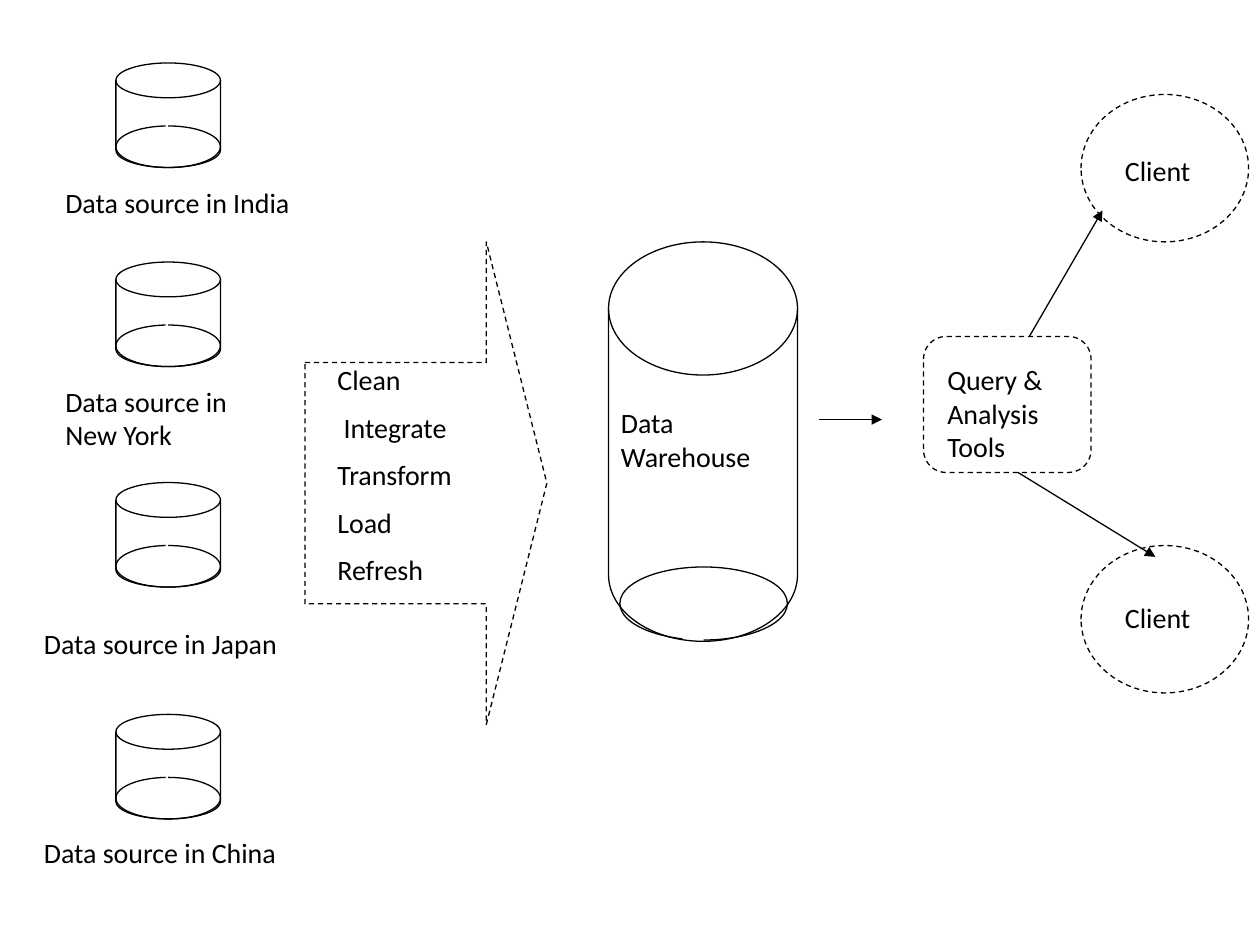
from typing import NamedTuple

from lxml import etree
from pptx import Presentation
from pptx.dml.color import RGBColor
from pptx.enum.dml import MSO_LINE
from pptx.enum.shapes import MSO_CONNECTOR, MSO_SHAPE
from pptx.enum.text import MSO_AUTO_SIZE
from pptx.oxml.ns import qn
from pptx.util import Inches, Pt

BLACK = RGBColor(0x00, 0x00, 0x00)
DASH = MSO_LINE.DASH
DISK = MSO_SHAPE.FLOWCHART_MAGNETIC_DISK
OVAL = MSO_SHAPE.OVAL
ARC = MSO_SHAPE.ARC
RIGHT_ARROW = MSO_SHAPE.RIGHT_ARROW
ROUNDED = MSO_SHAPE.ROUNDED_RECTANGLE
STRAIGHT = MSO_CONNECTOR.STRAIGHT
AUTO_FIT = MSO_AUTO_SIZE.SHAPE_TO_FIT_TEXT

FONT = "Calibri"
FONT_SIZE = Pt(16)
LINE_WIDTH = Pt(0.75)
ARC_UNITS_PER_DEGREE = 0.6


class Box(NamedTuple):
    left: float
    top: float
    width: float
    height: float


class Label(NamedTuple):
    text: str
    box: Box


class Arrow(NamedTuple):
    x1: float
    y1: float
    x2: float
    y2: float


SOURCE_DISK_TOPS = (0.5, 2.08, 3.83, 5.67)
CLIENT_TOPS = (0.75, 4.33)
LABELS = (
    Label("Data source in India", Box(0.42, 1.42, 2.08, 0.37)),
    Label("Data source in New York", Box(0.42, 3, 1.67, 0.64)),
    Label("Data source in Japan", Box(0.25, 4.92, 2.08, 0.37)),
    Label("Data source in China", Box(0.25, 6.58, 2.08, 0.37)),
    Label("Clean\n Integrate\nTransform\nLoad\nRefresh", Box(2.58, 2.83, 1.17, 1.97)),
    Label("Data Warehouse", Box(4.83, 3.17, 1.25, 0.64)),
    Label("Query & Analysis Tools", Box(7.42, 2.83, 1, 0.9)),
    Label("Client", Box(8.83, 1.17, 0.75, 0.37)),
    Label("Client", Box(8.83, 4.72, 0.75, 0.37)),
)
ARROWS = (
    Arrow(6.5, 3.33, 7, 3.33),
    Arrow(8.08, 3.75, 9.17, 4.42),
    Arrow(8.17, 2.67, 8.75, 1.67),
)


def add_outline(s, kind: MSO_SHAPE, box: Box, dash=None, adjustments=()) -> None:
    """Add an unfilled preset shape with a thin black line."""
    sp = s.shapes.add_shape(kind, *map(Inches, box))
    sp.shadow.inherit = False
    sp.fill.background()
    sp.line.color.rgb = BLACK
    sp.line.width = LINE_WIDTH
    if dash is not None:
        sp.line.dash_style = dash
    for i, value in enumerate(adjustments):
        sp.adjustments[i] = value


def add_base(s, box: Box, start: float, end: float) -> None:
    """Add the nearly closed ellipse at the foot of a disk; angles in degrees."""
    angles = (start * ARC_UNITS_PER_DEGREE, end * ARC_UNITS_PER_DEGREE)
    add_outline(s, ARC, box, adjustments=angles)


def add_label(s, label: Label) -> None:
    tf = s.shapes.add_textbox(*map(Inches, label.box)).text_frame
    tf.word_wrap = True
    tf.auto_size = AUTO_FIT
    tf.text = label.text
    for i, p in enumerate(tf.paragraphs):
        if i:
            p.space_before = Pt(8)
        for r in p.runs:
            r.font.name = FONT
            r.font.size = FONT_SIZE
            r.font.color.rgb = BLACK


def add_arrow(s, arrow: Arrow) -> None:
    cxn = s.shapes.add_connector(STRAIGHT, *map(Inches, arrow))
    cxn.line.color.rgb = BLACK
    cxn.line.width = LINE_WIDTH
    etree.SubElement(cxn.line._get_or_add_ln(), qn("a:tailEnd"), type="triangle")
    etree.SubElement(cxn._element.spPr, qn("a:effectLst"))


def main() -> None:
    prs = Presentation()
    prs.slide_width, prs.slide_height = Inches(10), Inches(7.5)
    s = prs.slides.add_slide(prs.slide_layouts[6])

    for top in SOURCE_DISK_TOPS:
        add_outline(s, DISK, Box(0.92, top, 0.83, 0.83))
        add_base(s, Box(0.92, top + 0.5, 0.83, 0.33), 270, 263)

    add_outline(s, RIGHT_ARROW, Box(2.42, 1.92, 1.92, 3.83), DASH, (0.5, 0.25))
    add_outline(s, DISK, Box(4.83, 1.92, 1.5, 3.17))
    add_base(s, Box(4.92, 4.5, 1.33, 0.58), 121, 90)

    for top in CLIENT_TOPS:
        add_outline(s, OVAL, Box(8.58, top, 1.33, 1.17), DASH)
    add_outline(s, ROUNDED, Box(7.33, 2.67, 1.33, 1.08), DASH, (0.167,))

    for arrow in ARROWS:
        add_arrow(s, arrow)
    for label in LABELS:
        add_label(s, label)

    prs.save("out.pptx")


if __name__ == "__main__":
    main()
